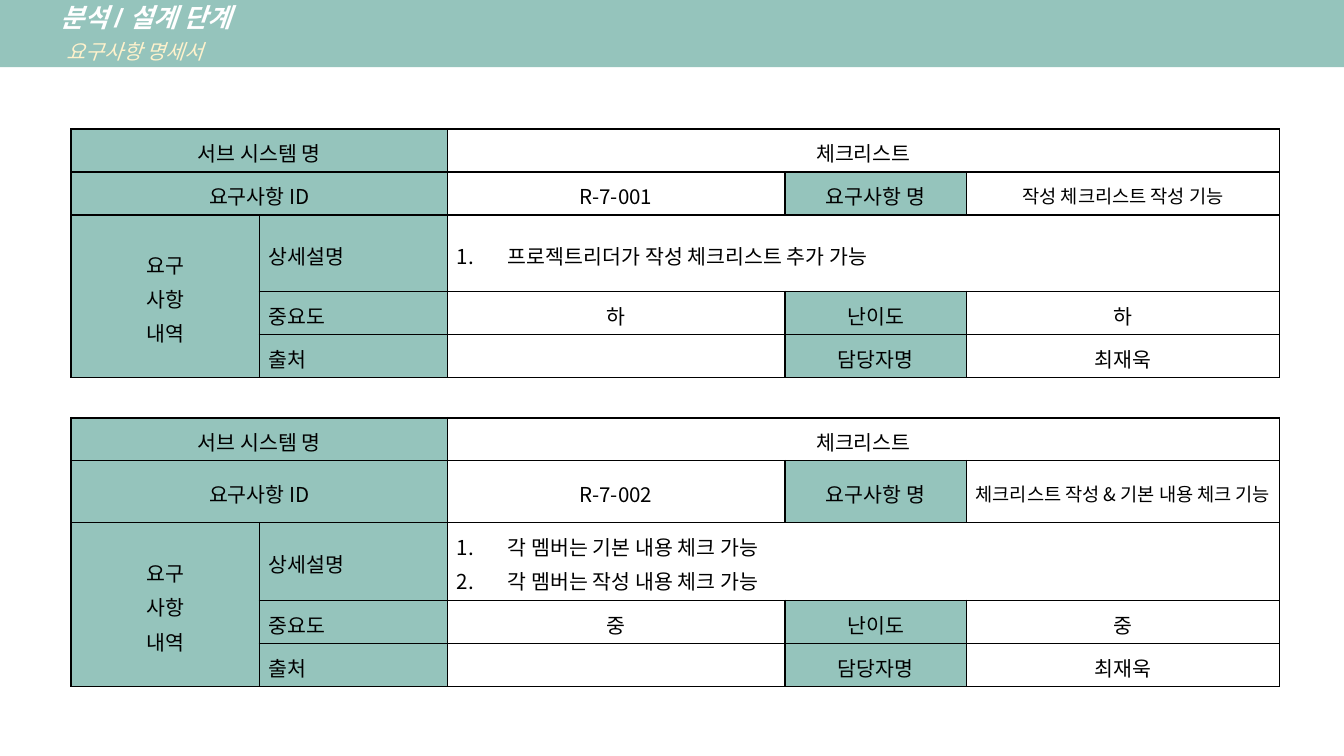
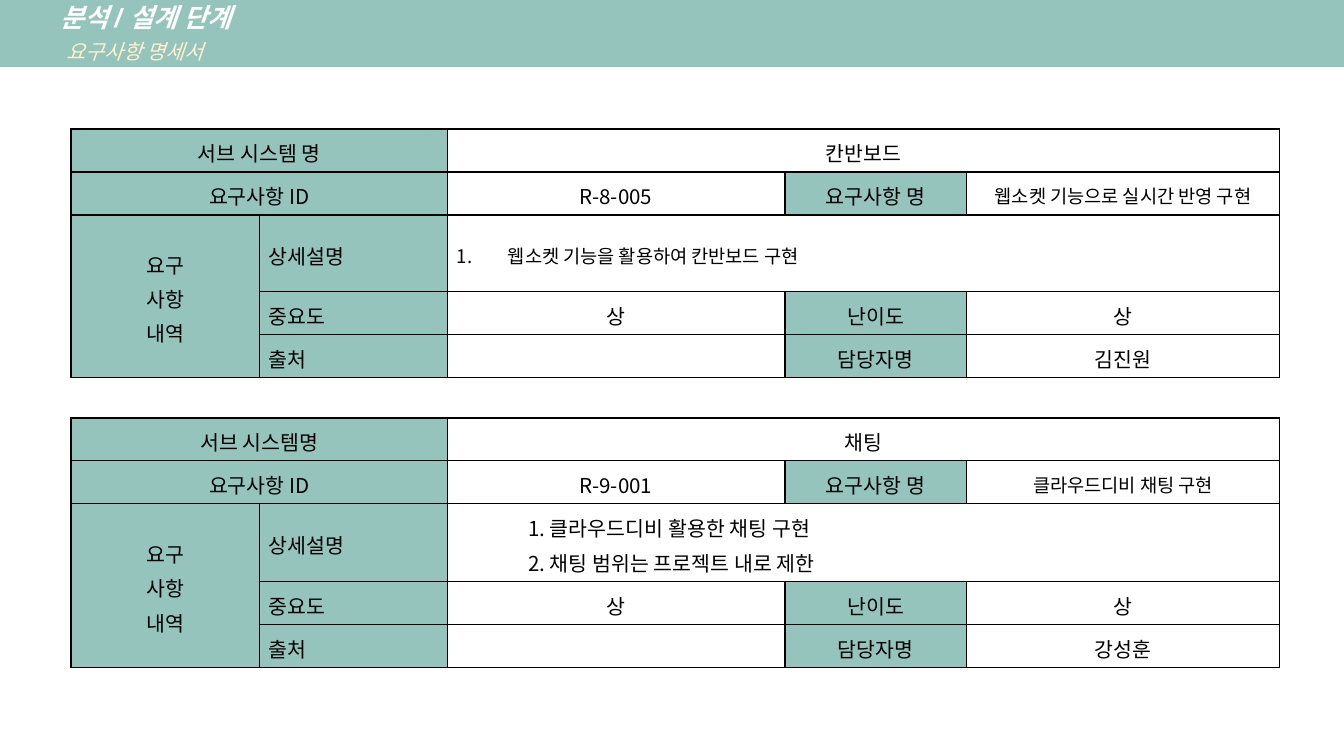
from dataclasses import dataclass

from lxml import etree
from pptx import Presentation
from pptx.dml.color import RGBColor
from pptx.enum.shapes import MSO_SHAPE
from pptx.enum.text import MSO_ANCHOR, PP_ALIGN
from pptx.oxml.ns import qn
from pptx.util import Inches, Pt

RECTANGLE = MSO_SHAPE.RECTANGLE
MIDDLE = MSO_ANCHOR.MIDDLE
LEFT, CENTER = PP_ALIGN.LEFT, PP_ALIGN.CENTER

TEAL, WHITE, CREAM, BLACK = "95C4BC", "FFFFFF", "FFF2CC", "000000"
BAND_FONT, TABLE_FONT = "Arial", "Noto Sans CJK KR"
COLUMN_WIDTHS = [1.4, 1.4, 2.51, 1.35, 2.33]
ROW_HEIGHTS = [0.32, 0.32, 0.57, 0.32, 0.32, 0.3, 0.32, 0.32, 0.58, 0.32, 0.32]
GAP_ROW = 5


@dataclass
class Requirement:
    """The values filled into one requirement form."""
    subsystem: str
    code: str
    name: str
    details: list
    importance: str
    difficulty: str
    owner: str
    subsystem_label: str = "서브 시스템 명"
    detail_size: int = 11
    auto_number: bool = True


SLIDES = [
    [
        Requirement("체크리스트", "R-7-001", "작성 체크리스트 작성 기능",
                    ["프로젝트리더가 작성 체크리스트 추가 가능"], "하", "하", "최재욱"),
        Requirement("체크리스트", "R-7-002", "체크리스트 작성 & 기본 내용 체크 기능",
                    ["각 멤버는 기본 내용 체크 가능", "각 멤버는 작성 내용 체크 가능"],
                    "중", "중", "최재욱"),
    ],
    [
        Requirement("칸반보드", "R-8-005", "웹소켓 기능으로 실시간 반영 구현",
                    ["웹소켓 기능을 활용하여 칸반보드 구현"], "상", "상", "김진원",
                    detail_size=10),
        Requirement("채팅", "R-9-001", "클라우드디비 채팅 구현",
                    ["1. 클라우드디비 활용한 채팅 구현", "2. 채팅 범위는 프로젝트 내로 제한"],
                    "상", "상", "강성훈", subsystem_label="서브 시스템명",
                    auto_number=False),
    ],
]


def rgb(hex_color):
    """Turn a hex string into a colour."""
    return RGBColor.from_string(hex_color)


def add_run(paragraph, text, size, color, font, bold=False, italic=False):
    """Add one styled run, without kerning, to a paragraph."""
    run = paragraph.add_run()
    run.text = text
    run.font.size = Pt(size)
    run.font.name = font
    run.font.bold = bold
    run.font.italic = italic
    run.font.color.rgb = rgb(color)
    run._r.get_or_add_rPr().set("kern", "0")


def set_indent(paragraph, margin, first_line=0):
    """Set the left margin and first-line indent of a paragraph."""
    properties = paragraph._p.get_or_add_pPr()
    properties.set("marL", str(Inches(margin)))
    properties.set("indent", str(Inches(first_line)))


def next_paragraph(frame, index):
    """Return the first paragraph of a frame, or a new one after it."""
    return frame.paragraphs[0] if index == 0 else frame.add_paragraph()


def add_title_band(slide):
    """Draw the band with the stage and document titles."""
    band = slide.shapes.add_shape(RECTANGLE, 0, Inches(-0.01), Inches(10), Inches(0.51))
    band.shadow.inherit = False
    band.fill.solid()
    band.fill.fore_color.rgb = rgb(TEAL)
    band.line.fill.background()
    frame = band.text_frame
    frame.word_wrap = True
    frame.vertical_anchor = MIDDLE
    frame.margin_left = frame.margin_right = Inches(0.07)
    frame.margin_top = frame.margin_bottom = Inches(0.04)
    titles = [[("분석 / 설계 단계", 14, WHITE, True)],
              [(" ", 14, WHITE, True), ("요구사항 명세서", 11, CREAM, False)]]
    for index, runs in enumerate(titles):
        paragraph = next_paragraph(frame, index)
        paragraph.alignment = LEFT
        paragraph.level = 1
        set_indent(paragraph, 0.38)
        for text, size, color, bold in runs:
            add_run(paragraph, text, size, color, BAND_FONT, bold, italic=True)


def set_borders(cell, sides):
    """Draw the given sides of a cell in black and clear the others."""
    properties = cell._tc.get_or_add_tcPr()
    for side in "LRTB":
        line = etree.SubElement(properties, qn(f"a:ln{side}"), w=str(Pt(1)))
        if side in sides:
            fill = etree.SubElement(line, qn("a:solidFill"))
            etree.SubElement(fill, qn("a:srgbClr"), val=BLACK)
        else:
            etree.SubElement(line, qn("a:noFill"))


def prepare_cell(cell, is_gap):
    """Give a cell its margins, borders, fill and empty-line size."""
    cell.margin_left = cell.margin_right = Inches(0.07)
    cell.margin_top = cell.margin_bottom = 0
    cell.vertical_anchor = MIDDLE
    set_borders(cell, "TB" if is_gap else "LRTB")
    cell.fill.solid()
    cell.fill.fore_color.rgb = rgb(WHITE)
    empty_line = etree.SubElement(cell.text_frame.paragraphs[0]._p, qn("a:endParaRPr"))
    empty_line.set("sz", "1100")


def write_cell(cell, text, align=CENTER, size=11, fill=WHITE):
    """Write a cell, breaking the line at each newline."""
    cell.fill.fore_color.rgb = rgb(fill)
    paragraph = cell.text_frame.paragraphs[0]
    paragraph.alignment = align
    paragraph.line_spacing = 1.15
    for index, line in enumerate(text.split("\n")):
        if index:
            paragraph.add_line_break()
        add_run(paragraph, line, size, BLACK, TABLE_FONT)


def write_details(cell, requirement):
    """Write the numbered description of a requirement."""
    for index, detail in enumerate(requirement.details):
        paragraph = next_paragraph(cell.text_frame, index)
        paragraph.line_spacing = 1.15
        if requirement.auto_number:
            set_indent(paragraph, 0.38, -0.38)
            etree.SubElement(paragraph._p.get_or_add_pPr(), qn("a:buAutoNum"),
                             type="arabicPeriod")
        else:
            set_indent(paragraph, 0.53)
        add_run(paragraph, detail, requirement.detail_size, BLACK, TABLE_FONT)


def fill_form(table, top, requirement):
    """Merge and write the five rows of one requirement form."""
    spans = [(0, 0, 0, 1), (0, 2, 0, 4), (1, 0, 1, 1), (2, 0, 4, 0), (2, 2, 2, 4)]
    for row, column, last_row, last_column in spans:
        table.cell(top + row, column).merge(table.cell(top + last_row, last_column))
    labels = [
        (0, 0, requirement.subsystem_label, CENTER), (1, 0, "요구사항 ID", CENTER),
        (1, 3, "요구사항 명", CENTER), (2, 0, "요구\n사항\n내역", CENTER),
        (2, 1, "상세설명", LEFT), (3, 1, "중요도", LEFT), (3, 3, "난이도", CENTER),
        (4, 1, "출처", LEFT), (4, 3, "담당자명", CENTER),
    ]
    for row, column, text, align in labels:
        write_cell(table.cell(top + row, column), text, align, fill=TEAL)
    values = [
        (0, 2, requirement.subsystem, 11), (1, 2, requirement.code, 11),
        (1, 4, requirement.name, 10), (3, 2, requirement.importance, 11),
        (3, 4, requirement.difficulty, 11), (4, 4, requirement.owner, 11),
    ]
    for row, column, text, size in values:
        write_cell(table.cell(top + row, column), text, size=size)
    write_details(table.cell(top + 2, 2), requirement)


def add_requirement_table(slide, requirements):
    """Add the table that holds two forms with an open row between them."""
    table = slide.shapes.add_table(
        len(ROW_HEIGHTS), len(COLUMN_WIDTHS), Inches(0.53), Inches(0.96),
        Inches(sum(COLUMN_WIDTHS)), Inches(sum(ROW_HEIGHTS))).table
    table.first_row = table.horz_banding = False
    for column, width in zip(table.columns, COLUMN_WIDTHS):
        column.width = Inches(width)
    for index, (row, height) in enumerate(zip(table.rows, ROW_HEIGHTS)):
        row.height = Inches(height)
        for cell in row.cells:
            prepare_cell(cell, index == GAP_ROW)
    table.cell(GAP_ROW, 0).merge(table.cell(GAP_ROW, len(COLUMN_WIDTHS) - 1))
    for top, requirement in zip((0, GAP_ROW + 1), requirements):
        fill_form(table, top, requirement)


def main():
    """Build the requirement specification slides."""
    presentation = Presentation()
    presentation.slide_width = Inches(10)
    presentation.slide_height = Inches(10) * 9 // 16
    for requirements in SLIDES:
        slide = presentation.slides.add_slide(presentation.slide_layouts[6])
        add_title_band(slide)
        add_requirement_table(slide, requirements)
    presentation.save("out.pptx")


if __name__ == "__main__":
    main()
